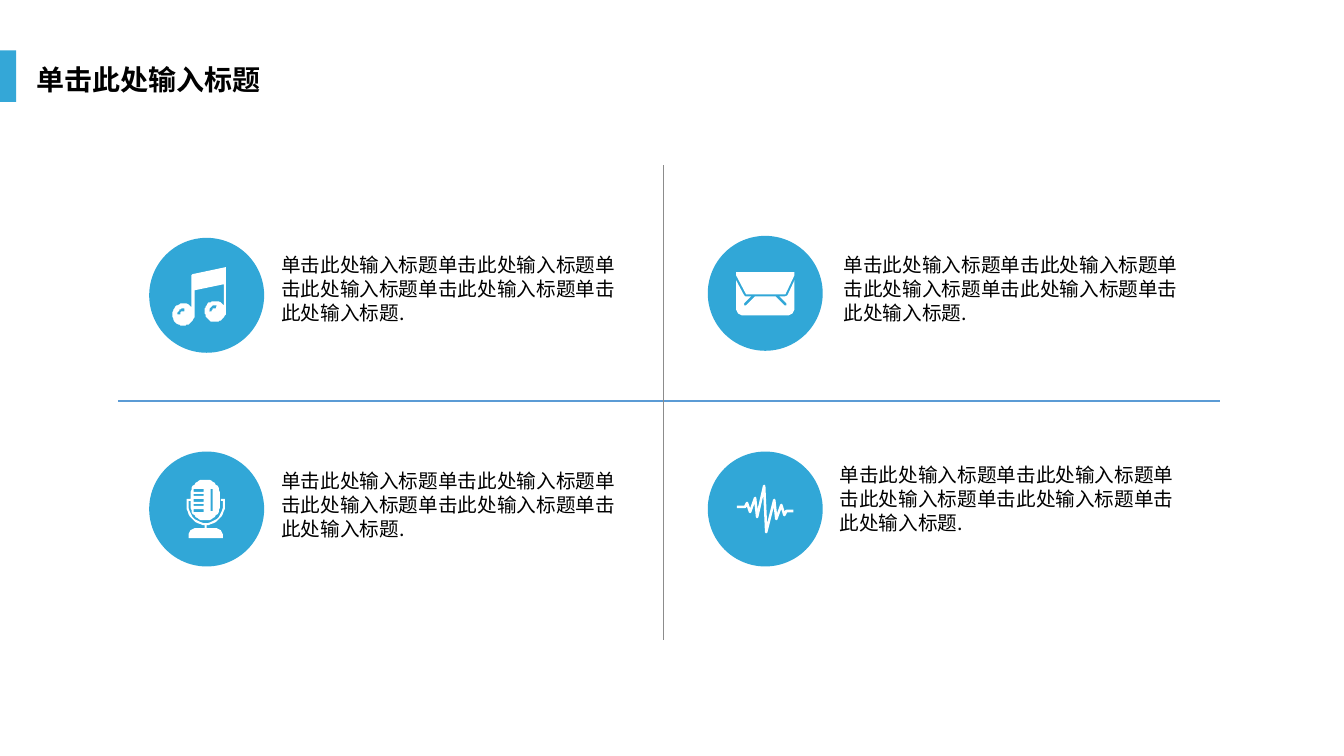
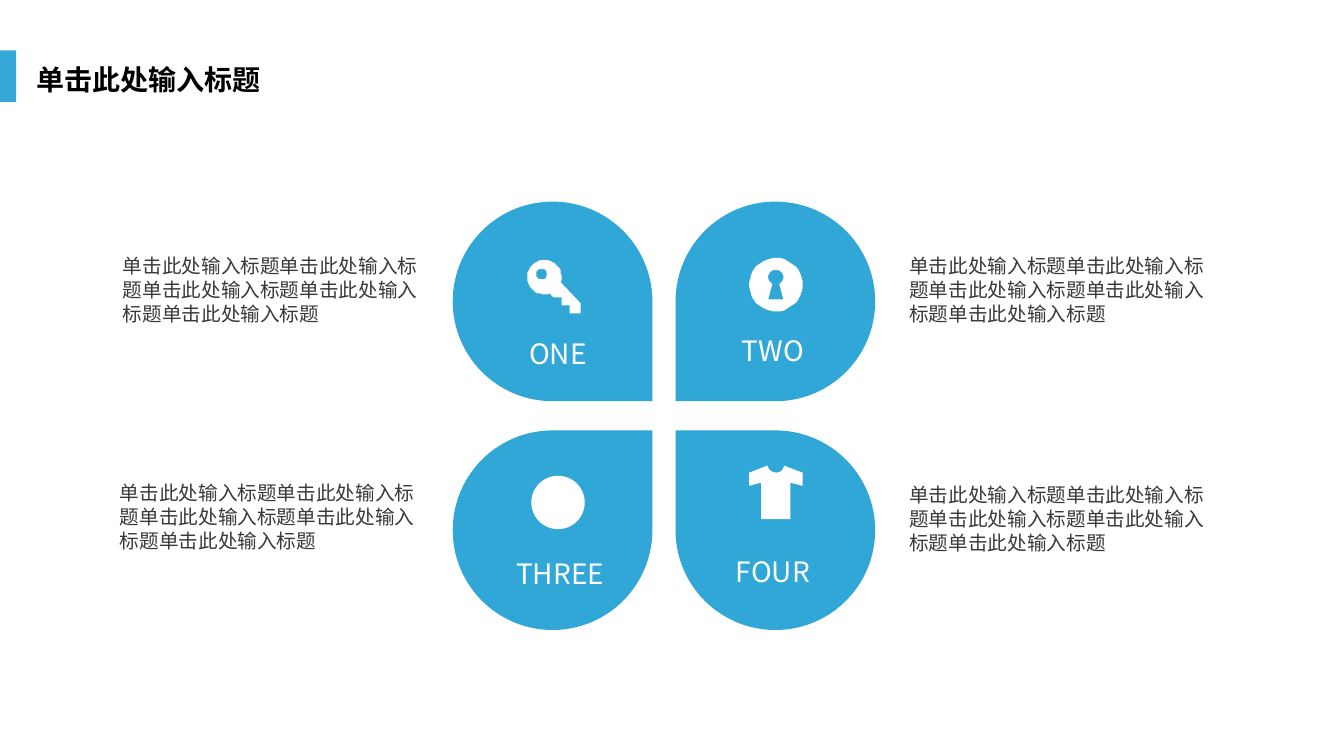
import math

import pptx
import pptx.dml.color
import pptx.enum.shapes
import pptx.enum.text
import pptx.oxml
import pptx.oxml.ns
import pptx.util

SHAPE = pptx.enum.shapes.MSO_SHAPE
COLORS = {"band": "34A7D7", "blue": "31A7D7", "rule": "5B9BD5", "axis": "8C8C8C",
          "white": "FFFFFF", "black": "000000", "gray": "3B3838"}
FONT = "Noto Sans CJK SC"
CELL = pptx.util.Inches(0.1)
FINE = CELL / 10
PHRASE = "单击此处输入标题"


def rgb(name):
    return pptx.dml.color.RGBColor.from_string(COLORS[name])


def arc(cx, cy, radius, start=0, end=360):
    steps = max(6, round(abs(end - start) / 8))
    angles = [math.radians(start + (end - start) * i / steps) for i in range(steps + 1)]
    return [(cx + radius * math.cos(a), cy + radius * math.sin(a)) for a in angles]


def box(left, top, right, bottom):
    return [(left, top), (right, top), (right, bottom), (left, bottom)]


def glint(cx, cy):
    return arc(cx, cy, 6, 180, 280) + arc(cx, cy, 3.5, 280, 180)


MUSIC = [
    [(53, 0), (20, 7), (19, 8)] + arc(11, 47, 11, -41, -360)
    + [(22, 23), (51, 17)] + arc(42.5, 44, 10.5, -37, -360),
    glint(11, 47),
    glint(42.5, 44),
]
ENVELOPE = [
    [(0, 0), (58, 0), (58, 3), (49, 22), (10, 22), (0, 3)],
    [(0, 8), (8, 23), (9, 24), (15, 24), (8, 31), (8, 33), (10, 33), (19, 24),
     (39, 24), (48, 33), (50, 33), (50, 31), (43, 24), (49, 24), (51, 23),
     (58, 8), (58, 37), (56, 41), (52, 43), (6, 43), (2, 41), (0, 37)],
]
MICROPHONE = [
    arc(18.5, 14, 14.5, 180, 360) + arc(18.5, 26, 14.5, 0, 180),
    [(38, 19)] + arc(19, 26, 19, 0, 180) + [(0, 19), (4, 19), (4, 21), (2, 21)]
    + arc(19, 26, 16.8, 180, 0) + [(36, 21), (34, 21), (34, 19)],
    box(18, 45, 20, 48),
    [(2, 58), (2, 54), (4, 50), (8, 48), (30, 48), (34, 50), (36, 54), (36, 58)],
    box(24, 9, 26, 31),
] + [box(7, y, 17, y + 2.5) for y in range(9, 30, 5)]
PULSE = [(1, 22.5), (9, 22.5), (11, 18), (14, 27), (19, 13), (21, 32), (28, 1),
         (30.5, 47), (38, 15), (40.5, 34), (45, 20), (47.5, 30), (50, 25.5), (57, 25.5)]
KEY = [
    arc(17, 17, 17, 17, -287) + [(26, 37), (34, 37), (34, 45), (42, 45), (42, 53),
                                 (53, 53), (53, 43)],
    arc(14, 14, 5.5),
]
KEYHOLE = [
    arc(26.5, 26.5, 26.5),
    arc(26.5, 19, 7.5, 118, 422) + [(34, 41), (19, 41)],
]
SHIRT = [[(0, 7), (18, 0), (20, 4), (23, 6), (27, 7), (31, 6), (33, 4), (35, 0), (53, 7),
          (53, 20), (41, 17), (41, 53), (12, 53), (12, 17), (0, 20)]]


class Deck:
    def __init__(self):
        self.prs = pptx.Presentation()
        self.prs.slide_width = pptx.util.Inches(13.33)
        self.prs.slide_height = pptx.util.Inches(7.5)
        self.s = None

    def cells(self, *values):
        return [round(v * CELL) for v in values]

    def slide(self, title):
        self.s = self.prs.slides.add_slide(self.prs.slide_layouts[6])
        self.shape(SHAPE.RECTANGLE, 0, 5, 1.6, 5.1, "band")
        self.text(title, 2.6, 5.4, 33.8, 4.4, size=20, leading=26, bold=True)

    def shape(self, kind, x, y, w, h, color, rotation=0):
        sp = self.s.shapes.add_shape(kind, *self.cells(x, y, w, h))
        sp.rotation = rotation
        self.paint(sp, color)

    def paint(self, sp, color):
        sp.shadow.inherit = False
        sp.fill.solid()
        sp.fill.fore_color.rgb = rgb(color)
        sp.line.fill.background()

    def text(self, words, x, y, w, h, size=14, leading=17, color="black", bold=False, font=FONT):
        sp = self.s.shapes.add_textbox(*self.cells(x, y, w, h))
        tf = sp.text_frame
        tf.word_wrap = True
        tf.auto_size = pptx.enum.text.MSO_AUTO_SIZE.SHAPE_TO_FIT_TEXT
        p = tf.paragraphs[0]
        p.line_spacing = pptx.util.Pt(leading)
        r = p.add_run()
        r.text = words
        r.font.size = pptx.util.Pt(size)
        r.font.bold = bold
        r.font.name = font
        r.font.color.rgb = rgb(color)
        ea = pptx.oxml.ns.qn("a:ea")
        r.font._element.makeelement(ea)
        r.font._element.append(r.font._element.makeelement(ea, {"typeface": FONT}))

    def rule(self, x1, y1, x2, y2, color, width):
        line = self.s.shapes.add_connector(
            pptx.enum.shapes.MSO_CONNECTOR.STRAIGHT, *self.cells(x1, y1, x2, y2))
        line.line.color.rgb = rgb(color)
        line.line.width = pptx.util.Pt(width)
        sp_pr = line._element.spPr
        sp_pr.append(sp_pr.makeelement(pptx.oxml.ns.qn("a:effectLst")))

    def outline(self, contours, x, y, close=True):
        first = contours[0]
        ff = self.s.shapes.build_freeform(*first[0], scale=FINE)
        ff.add_line_segments(first[1:], close=close)
        for contour in contours[1:]:
            ff.move_to(*contour[0])
            ff.add_line_segments(contour[1:], close=close)
        return ff.convert_to_shape(*self.cells(x, y))

    def icon(self, contours, x, y):
        self.paint(self.outline(contours, x, y), "white")

    def stroke(self, points, x, y, width):
        sp = self.outline([points], x, y, close=False)
        sp.shadow.inherit = False
        sp.fill.background()
        sp.line.color.rgb = rgb("white")
        sp.line.width = pptx.util.Pt(width)


def quadrants(deck):
    deck.slide(PHRASE)
    deck.rule(11.7, 39.8, 121, 39.8, "rule", 1.5)
    deck.rule(65.8, 16.4, 65.8, 63.5, "axis", 0.75)
    items = [
        (14.8, 23.6, 26.9, 24.6),
        (70.2, 23.4, 82.7, 24.6),
        (14.8, 44.8, 26.9, 46),
        (70.2, 44.8, 82.3, 45.4),
    ]
    for x, y, text_x, text_y in items:
        deck.shape(SHAPE.OVAL, x, y, 11.4, 11.4, "blue")
        deck.text(PHRASE * 5 + ".", text_x, text_y, 36.7, 8.1)
    deck.icon(MUSIC, 17.1, 26.5)
    deck.icon(ENVELOPE, 73, 27)
    deck.icon(MICROPHONE, 18.5, 47.6)
    deck.stroke(PULSE, 73, 48.1, 1.8)


def petals(deck):
    deck.slide(PHRASE)
    left, right, top, bottom = 44.9, 67, 20, 42.7
    items = [
        ("ONE", left, top, 90, 51.5, 32.6, 11.2, 24.7),
        ("TWO", right, top, 180, 72.6, 32.3, 89.2, 24.7),
        ("THREE", left, bottom, 0, 50.2, 54.4, 10.9, 47.2),
        ("FOUR", right, bottom, 270, 72, 54.2, 89.2, 47.4),
    ]
    for label, x, y, rotation, label_x, label_y, text_x, text_y in items:
        deck.shape(SHAPE.TEAR, x, y, 19.8, 19.8, "blue", rotation)
        deck.text(label, label_x, label_y, 10.9, 4.4, size=20, leading=26, color="white")
        deck.text(PHRASE * 5, text_x, text_y, 32.5, 8.1, color="gray", font="Calibri")
    deck.icon(KEY, 52.3, 25.8)
    deck.icon(KEYHOLE, 74.3, 25.6)
    deck.shape(SHAPE.OVAL, 52.7, 47.2, 5.3, 5.3, "white")
    deck.icon(SHIRT, 74.3, 46.2)


def main():
    deck = Deck()
    quadrants(deck)
    petals(deck)
    deck.prs.save("out.pptx")


if __name__ == "__main__":
    main()
